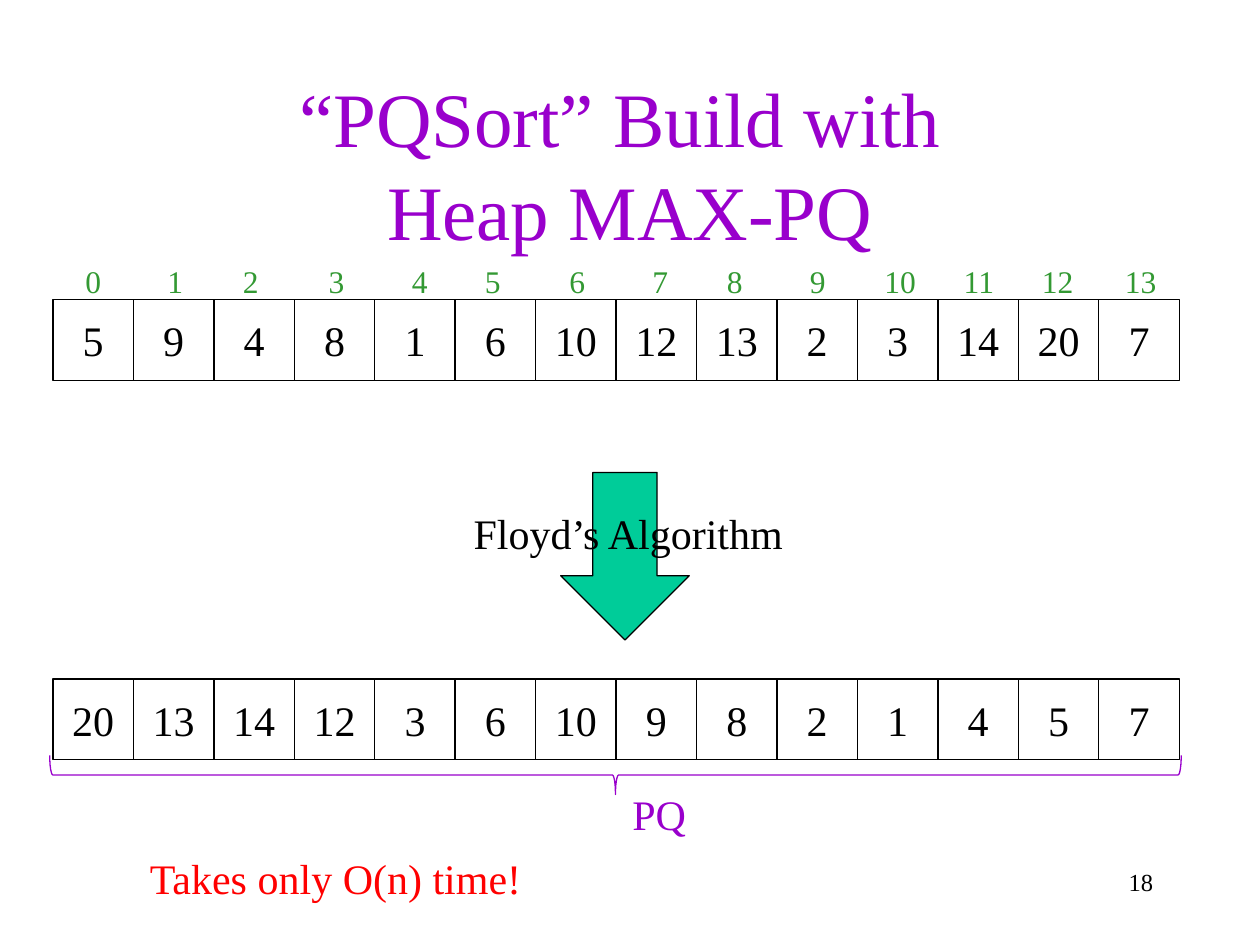
import pptx
import pptx.dml.color
import pptx.enum.shapes
import pptx.enum.text
import pptx.util
from pptx.util import Inches

SHAPES = pptx.enum.shapes.MSO_SHAPE
ALIGN = pptx.enum.text.PP_ALIGN
ANCHOR = pptx.enum.text.MSO_ANCHOR
BLACK, PURPLE, GREEN, TEAL, RED = "000000", "9900CC", "339933", "00CC99", "FF0000"

deck = pptx.Presentation()
deck.slide_width, deck.slide_height = Inches(10), Inches(7.5)
page = deck.slides.add_slide(deck.slide_layouts[6])


def write(box, lines, size, color, align=ALIGN.LEFT, wrap=False):
    """Put the lines into one paragraph, with line breaks between them."""
    box.text_frame.word_wrap = wrap
    para = box.text_frame.paragraphs[0]
    para.alignment = align
    for number, line in enumerate(lines):
        if number:
            para.add_line_break()
        span = para.add_run()
        span.text = line
        span.font.name = "Times New Roman"
        span.font.size = pptx.util.Pt(size)
        span.font.color.rgb = pptx.dml.color.RGBColor.from_string(color)


def add_outlined(kind, left, top, width, height, line, fill=None):
    shape = page.shapes.add_shape(kind, left, top, width, height)
    shape.shadow.inherit = False
    shape.line.color.rgb = pptx.dml.color.RGBColor.from_string(line)
    shape.line.width = pptx.util.Pt(0.75)
    if fill:
        shape.fill.solid()
        shape.fill.fore_color.rgb = pptx.dml.color.RGBColor.from_string(fill)
    else:
        shape.fill.background()
    return shape


# Title and page number
title = page.shapes.add_textbox(Inches(0.75), Inches(0.67), Inches(8.5), Inches(1.25))
title.text_frame.vertical_anchor = ANCHOR.MIDDLE
write(title, ["“PQSort” Build with ", "Heap MAX-PQ"], 44, PURPLE, ALIGN.CENTER, True)

page_number = page.shapes.add_textbox(Inches(7.17), Inches(6.83), Inches(2.08), Inches(0.5))
write(page_number, ["18"], 14, BLACK, ALIGN.RIGHT, True)

# The array before and after the heap is built
arrays = [
    (2.38, [5, 9, 4, 8, 1, 6, 10, 12, 13, 2, 3, 14, 20, 7]),
    (5.39, [20, 13, 14, 12, 3, 6, 10, 9, 8, 2, 1, 4, 5, 7]),
]
first_left, last_left, side = 0.42, 8.72, 0.64
for top, values in arrays:
    step = (last_left - first_left) / (len(values) - 1)
    for column, value in enumerate(values):
        cell = add_outlined(SHAPES.RECTANGLE, Inches(first_left + column * step), Inches(top),
                            Inches(side), Inches(side), BLACK)
        cell.text_frame.vertical_anchor = ANCHOR.MIDDLE
        write(cell, [str(value)], 24, BLACK, ALIGN.CENTER)

# Brace under the heap, and the arrow between the arrays
brace = add_outlined(SHAPES.LEFT_BRACE, Inches(4.73), Inches(1.66), Inches(0.31), Inches(8.98), PURPLE)
brace.rotation = 270
brace.adjustments[0] = 0.08
add_outlined(SHAPES.DOWN_ARROW, Inches(4.45), Inches(3.75), Inches(1.02), Inches(1.33), BLACK, TEAL)

# Array indices and labels: left, top, width, height, text, size, colour
index_lefts = [0.58, 1.23, 1.83, 2.51, 3.17, 3.75, 4.42, 5.08, 5.67, 6.33, 6.92, 7.55, 8.17, 8.83]
labels = [(left, 2.03, 0.33 if index < 10 else 0.45, 0.4, str(index), 18, GREEN)
          for index, left in enumerate(index_lefts)]
labels += [
    (4.92, 6.21, 0.63, 0.51, "PQ", 24, PURPLE),
    (3.66, 3.98, 2.68, 0.51, "Floyd’s Algorithm", 24, BLACK),
    (1.09, 6.72, 3.18, 0.51, "Takes only O(n) time!", 24, RED),
]
for left, top, width, height, text, size, color in labels:
    label = page.shapes.add_textbox(Inches(left), Inches(top), Inches(width), Inches(height))
    label.text_frame.auto_size = pptx.enum.text.MSO_AUTO_SIZE.SHAPE_TO_FIT_TEXT
    write(label, [text], size, color)

deck.save("out.pptx")
